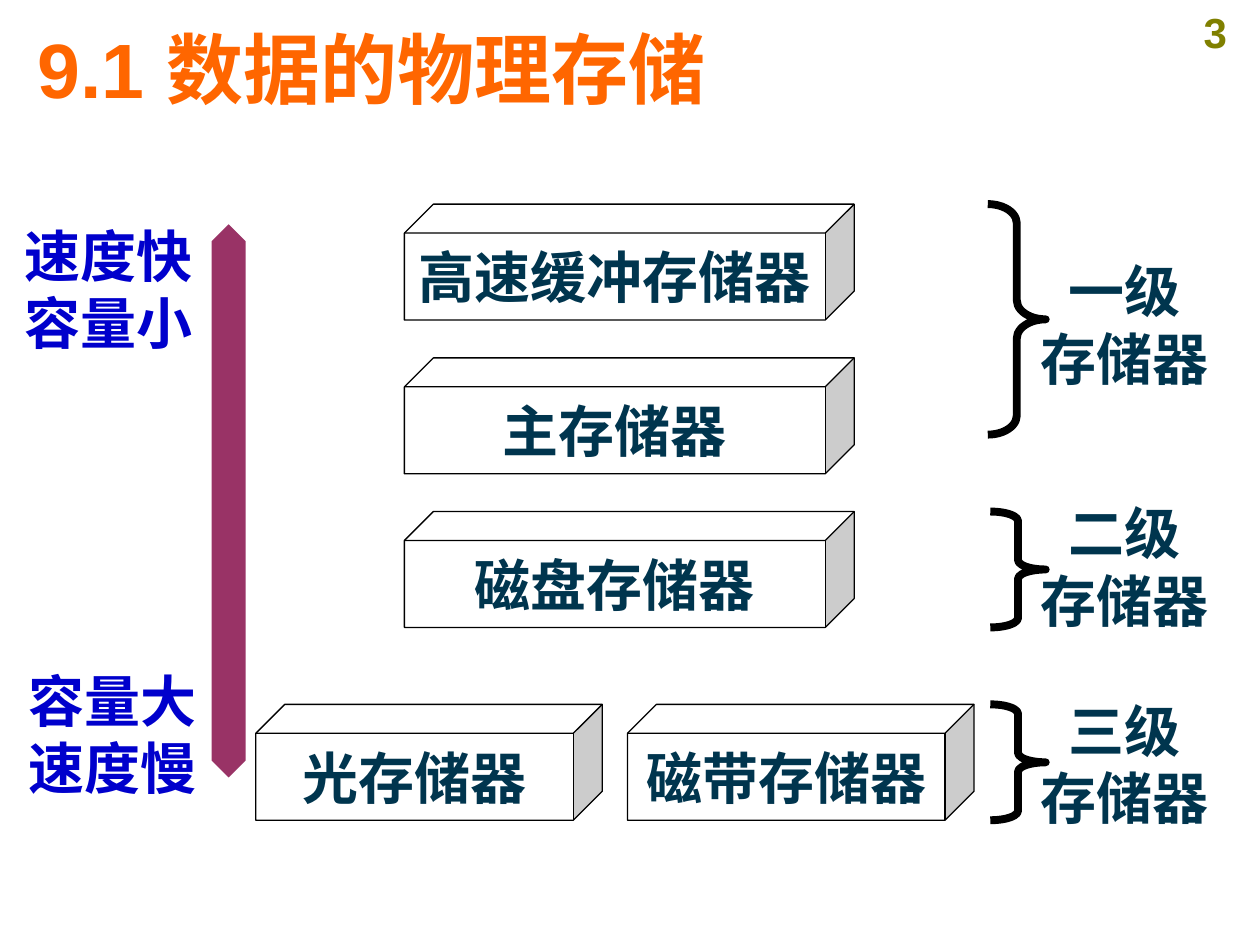
import pptx
import pptx.util
import pptx.dml.color
import pptx.enum.shapes
import pptx.enum.text

Inches, Pt = pptx.util.Inches, pptx.util.Pt
RGBColor = pptx.dml.color.RGBColor
MSO_SHAPE = pptx.enum.shapes.MSO_SHAPE
PP_ALIGN = pptx.enum.text.PP_ALIGN
MSO_ANCHOR = pptx.enum.text.MSO_ANCHOR

ORANGE = RGBColor(0xFF, 0x66, 0x00)
OLIVE = RGBColor(0x80, 0x80, 0x00)
NAVY = RGBColor(0x00, 0x35, 0x4E)
BLUE = RGBColor(0x00, 0x00, 0xCC)
PLUM = RGBColor(0x99, 0x33, 0x66)
WHITE = RGBColor(0xFF, 0xFF, 0xFF)
BLACK = RGBColor(0x00, 0x00, 0x00)

deck = pptx.Presentation()
deck.slide_width, deck.slide_height = Inches(10), Inches(7.5)
slide = deck.slides.add_slide(deck.slide_layouts[6])


def write(frame, lines, size, font, color, align=PP_ALIGN.LEFT, anchor=MSO_ANCHOR.TOP, wrap=True):
    frame.word_wrap = wrap
    frame.vertical_anchor = anchor
    for index, line in enumerate(lines):
        paragraph = frame.paragraphs[0] if index == 0 else frame.add_paragraph()
        paragraph.alignment = align
        run = paragraph.add_run()
        run.text = line
        run.font.size = Pt(size)
        run.font.name = font
        run.font.bold = True
        run.font.color.rgb = color


def add_figure(preset, left, top, width, height, adjustments, fill=None, line=None, weight=0.75):
    figure = slide.shapes.add_shape(preset, Inches(left), Inches(top), Inches(width), Inches(height))
    figure.shadow.inherit = False
    for index, value in enumerate(adjustments):
        figure.adjustments[index] = value
    if fill is None:
        figure.fill.background()
    else:
        figure.fill.solid()
        figure.fill.fore_color.rgb = fill
    if line is None:
        figure.line.fill.background()
    else:
        figure.line.color.rgb = line
        figure.line.width = Pt(weight)
    return figure


# Page number and title
page_number = slide.shapes.add_textbox(Inches(9.29), Inches(0), Inches(0.71), Inches(0.5))
write(page_number.text_frame, ["3"], 24, "Arial", OLIVE, PP_ALIGN.CENTER)
title = slide.shapes.add_textbox(Inches(0.2), Inches(0.16), Inches(9.47), Inches(0.76))
write(title.text_frame, ["9.1 数据的物理存储"], 44, "Arial", ORANGE, anchor=MSO_ANCHOR.MIDDLE)

# Storage devices, fastest at the top
LEVEL_HEIGHT = 0.92
for name, left, top, width in [
    ("高速缓冲存储器", 3.21, 1.62, 3.57),
    ("主存储器", 3.21, 2.84, 3.57),
    ("磁盘存储器", 3.21, 4.06, 3.57),
    ("光存储器", 2.03, 5.59, 2.75),
    ("磁带存储器", 4.98, 5.59, 2.75),
]:
    device = add_figure(MSO_SHAPE.CUBE, left, top, width, LEVEL_HEIGHT, [0.25], WHITE, BLACK)
    write(device.text_frame, [name], 32, "Times New Roman", NAVY,
          PP_ALIGN.CENTER, MSO_ANCHOR.MIDDLE, wrap=False)

# Braces that group the devices into levels
for left, top, width, height, curl in [
    (7.84, 1.62, 0.46, 1.83, 0.33),
    (7.86, 4.06, 0.44, LEVEL_HEIGHT, 0.17),
    (7.86, 5.59, 0.44, LEVEL_HEIGHT, 0.17),
]:
    add_figure(MSO_SHAPE.RIGHT_BRACE, left, top, width, height, [curl, 0.5], line=BLACK, weight=4.5)

# Level names, first line indented
for level, top, width, height in [
    ("一级", 1.99, 1.57, 1.2),
    ("二级", 3.91, 1.57, 1.26),
    ("三级", 5.48, 1.64, 1.1),
]:
    label = slide.shapes.add_textbox(Inches(8.16), Inches(top), Inches(width), Inches(height))
    write(label.text_frame, [level, "存储器"], 32, "Times New Roman", NAVY)
    first_line = label.text_frame.paragraphs[0]._p.get_or_add_pPr()
    first_line.set("marL", "0")
    first_line.set("indent", str(Inches(0.22)))

# Speed and capacity scale
add_figure(MSO_SHAPE.UP_DOWN_ARROW, 1.68, 1.78, 0.27, 4.39, [0.5, 3.28], PLUM)
for lines, left, top in [
    (["速度快", "容量小"], 0.1, 1.71),
    (["容量大", "速度慢"], 0.13, 5.24),
]:
    scale_end = slide.shapes.add_textbox(Inches(left), Inches(top), Inches(1.54), Inches(1.17))
    write(scale_end.text_frame, lines, 32, "Arial", BLUE, wrap=False)

deck.save("out.pptx")
